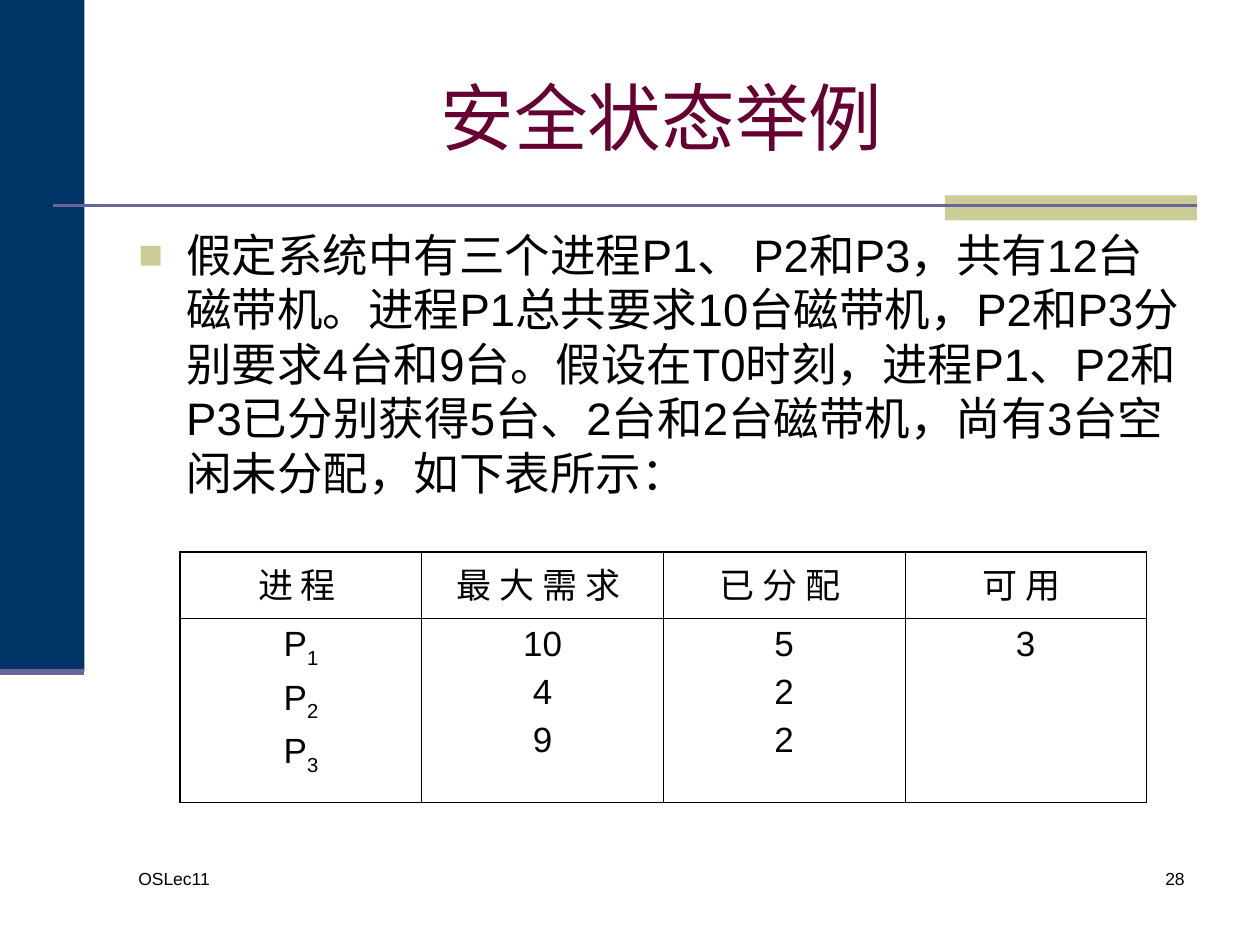
from lxml import etree
from pptx import Presentation
from pptx.dml.color import RGBColor
from pptx.enum.shapes import MSO_CONNECTOR, MSO_SHAPE
from pptx.enum.text import MSO_ANCHOR, PP_ALIGN
from pptx.oxml.ns import qn
from pptx.util import Inches, Pt

NAVY = RGBColor(0x00, 0x33, 0x66)
SAND = RGBColor(0xCC, 0xCC, 0x99)
SLATE = RGBColor(0x66, 0x66, 0x99)
WINE = RGBColor(0x66, 0x00, 0x33)
BLACK = RGBColor(0, 0, 0)
LEFT, CENTER, RIGHT = PP_ALIGN.LEFT, PP_ALIGN.CENTER, PP_ALIGN.RIGHT
TOP, MIDDLE = MSO_ANCHOR.TOP, MSO_ANCHOR.MIDDLE
RECT, LINE = MSO_SHAPE.RECTANGLE, MSO_CONNECTOR.STRAIGHT
FONT = "Arial"
THIN, THICK = 0.45, 1.08

TITLE = "安全状态举例"
BODY = ("假定系统中有三个进程P1、 P2和P3，共有12台磁带机。"
        "进程P1总共要求10台磁带机，P2和P3分别要求4台和9台。"
        "假设在T0时刻，进程P1、P2和P3已分别获得5台、2台和2台磁带机，"
        "尚有3台空闲未分配，如下表所示：")
# Each cell is a list of lines, each line a list of (text, is subscript)
HEADS = ["进 程 ", "最 大 需 求 ", "已 分 配 ", "可 用 "]
NEEDS = [["10", "4", "9"], ["5", "2", "2"], ["3"]]
ROWS = [
    [[[(head, False)]] for head in HEADS],
    [[[("P", False), (n, True)] for n in "123"]]
    + [[[(num, False)] for num in col] for col in NEEDS],
]


def add_run(para, text, size, color=BLACK):
    run = para.add_run()
    run.text = text
    run.font.size = Pt(size)
    run.font.name = FONT
    run.font.color.rgb = color
    return run


def add_rect(slide, x, y, w, h, color):
    rect = slide.shapes.add_shape(RECT, Inches(x), Inches(y), Inches(w), Inches(h))
    rect.shadow.inherit = False
    rect.fill.solid()
    rect.fill.fore_color.rgb = color
    rect.line.fill.background()


def add_rule(slide, x, y, w, width):
    rule = slide.shapes.add_connector(
        LINE, Inches(x), Inches(y), Inches(x + w), Inches(y))
    rule.line.color.rgb = SLATE
    rule.line.width = Pt(width)
    etree.SubElement(rule._element.spPr, qn("a:effectLst"))


def add_label(slide, box, text, size, color=BLACK, align=LEFT, anchor=TOP):
    frame = slide.shapes.add_textbox(*map(Inches, box)).text_frame
    frame.word_wrap = True
    frame.vertical_anchor = anchor
    para = frame.paragraphs[0]
    para.alignment = align
    add_run(para, text, size, color)
    return para


def add_bullet(para, indent):
    props = para._p.get_or_add_pPr()
    props.set("marL", str(Inches(indent)))
    props.set("indent", str(-Inches(indent)))
    color = etree.SubElement(props, qn("a:buClr"))
    etree.SubElement(color, qn("a:srgbClr"), val=str(SAND))
    etree.SubElement(props, qn("a:buSzPct"), val="90000")
    etree.SubElement(props, qn("a:buFont"), typeface=FONT)
    etree.SubElement(props, qn("a:buChar"), char="■")


def add_border(cell, side, width):
    props = cell._tc.get_or_add_tcPr()
    line = etree.SubElement(props, qn("a:ln" + side), w=str(Pt(width)))
    fill = etree.SubElement(line, qn("a:solidFill"))
    etree.SubElement(fill, qn("a:srgbClr"), val=str(BLACK))


def fill_cell(cell, lines):
    frame = cell.text_frame
    for i, line in enumerate(lines):
        para = frame.add_paragraph() if i else frame.paragraphs[0]
        para.alignment = CENTER
        para.space_before = Pt(5)
        for text, sub in line:
            run = add_run(para, text, 20)
            if sub:
                run.font._element.set("baseline", "-25000")


# Side band and the rule below the title
def add_decor(slide, w, h):
    add_rect(slide, 0, 0, w, h, NAVY)
    add_rect(slide, 7.5, 1.55, 2, 0.2, SAND)
    add_rule(slide, 0.42, 1.63, 9.08, 1.5)
    add_rule(slide, 0, h, w, 3.5)


# Title and bulleted paragraph, stacked in one column
def add_text(slide, x, y, w):
    add_label(slide, (x, y, w, 1.25), TITLE, 42, WINE, CENTER, MIDDLE)
    para = add_label(slide, (x, y + 1.45, w, 2.63), BODY, 26)
    para.space_before = Pt(6.5)
    add_bullet(para, 0.38)


# Table with a thick frame and thin inner lines
def add_grid(slide, x, y, w, heights):
    rows, cols = len(ROWS), len(HEADS)
    shape = slide.shapes.add_table(
        rows, cols, Inches(x), Inches(y), Inches(w), Inches(sum(heights)))
    table = shape.table
    table.first_row = table.horz_banding = False
    for col in table.columns:
        col.width = Inches(w / cols)
    for r, height in enumerate(heights):
        table.rows[r].height = Inches(height)
        for c, lines in enumerate(ROWS[r]):
            cell = table.cell(r, c)
            fill_cell(cell, lines)
            edges = {"L": c == 0, "R": c == cols - 1,
                     "T": r == 0, "B": r == rows - 1}
            for side, outer in edges.items():
                add_border(cell, side, THICK if outer else THIN)
            cell.fill.background()


# Footer name and page number
def add_foot(slide, x, y, w):
    add_label(slide, (x, y, 2.17, 0.5), "OSLec11", 10)
    add_label(slide, (x + w - 2.08, y, 2.08, 0.5), "28", 10, align=RIGHT)


deck = Presentation()
deck.slide_width, deck.slide_height = Inches(10), Inches(7.5)
slide = deck.slides.add_slide(deck.slide_layouts[6])
add_decor(slide, 0.67, 5.33)
add_foot(slide, 1, 6.84, 8.5)
add_grid(slide, 1.43, 4.38, 7.67, [0.53, 1.46])
add_text(slide, 1, 0.3, 8.5)
deck.save("out.pptx")
